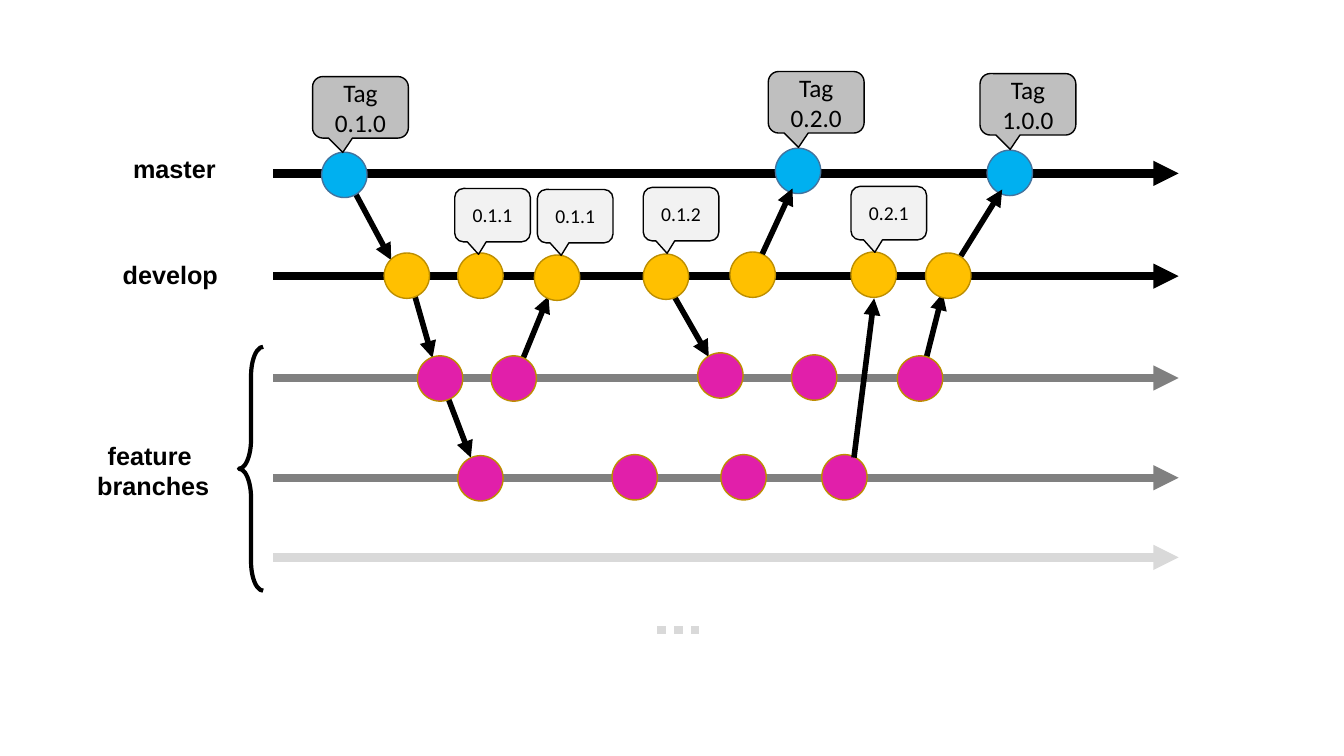
from pptx import Presentation
from pptx.dml.color import RGBColor
from pptx.enum import dml, shapes, text
from pptx.oxml import ns, xmlchemy
from pptx.util import Inches, Pt

BLACK, GREY, PALE = "000000", "808080", "D9D9D9"
LANE_START, LANE_END = 2.71, 11.69
COMMIT_SIZE = 0.45

LANES = [(1.72, BLACK), (2.74, BLACK), (3.75, GREY), (4.74, GREY), (5.53, PALE)]
COMMITS = [
    ("00B0F0", "43739E", [(3.19, 1.51), (7.69, 1.47), (9.79, 1.49)]),
    ("FFC000", "BD8E00", [(3.81, 2.51), (4.54, 2.51), (5.3, 2.53), (6.38, 2.52),
                          (7.24, 2.5), (8.44, 2.5), (9.18, 2.51)]),
    ("E11FAA", "BD8E00", [(4.14, 3.53), (4.87, 3.53), (6.92, 3.5), (7.85, 3.52),
                          (8.9, 3.53), (4.54, 4.52), (6.07, 4.51), (7.15, 4.51),
                          (8.15, 4.51)]),
]
ARROWS_BEHIND = [
    (6.67, 2.91, 7.03, 3.54), (5.17, 3.6, 5.44, 2.94), (9.18, 3.58, 9.35, 2.91),
    (4.38, 3.78, 4.67, 4.54), (4.05, 2.71, 4.29, 3.55), (3.44, 1.76, 3.88, 2.58),
]
ARROWS_IN_FRONT = [
    (8.47, 4.54, 8.67, 2.96), (9.53, 2.54, 9.94, 1.88), (7.56, 2.52, 7.86, 1.87),
]
LABELS = [
    ("feature \vbranches", 0.85, 4.32, 0.71),
    ("develop", 1.02, 2.52, 0.4),
    ("master", 1.06, 1.47, 0.4),
]
CALLOUTS = [
    (0.95, 0.61, "BFBFBF", 18, [("Tag\v0.1.0", 3.1, 0.76), ("Tag\v0.2.0", 7.62, 0.71),
                                ("Tag\v1.0.0", 9.72, 0.73)]),
    (0.75, 0.53, "F2F2F2", 14, [("0.1.1", 4.51, 1.87), ("0.1.1", 5.33, 1.88),
                                ("0.1.2", 6.38, 1.86), ("0.2.1", 8.44, 1.85)]),
]

deck = Presentation()
deck.slide_width, deck.slide_height = Inches(13.33), Inches(7.5)
page = deck.slides.add_slide(deck.slide_layouts[6])


def paint(target, color):
    target.solid()
    target.fore_color.rgb = RGBColor.from_string(color)


def write(box, words, size, font, bold=False):
    frame = box.text_frame
    frame.word_wrap = True
    frame.text = words
    para = frame.paragraphs[0]
    para.alignment = text.PP_ALIGN.CENTER
    for span in para.runs:
        span.font.size, span.font.name, span.font.bold = Pt(size), font, bold
        paint(span.font.fill, BLACK)


def add_shape(kind, left, top, width, height, fill, line, weight=1):
    shape = page.shapes.add_shape(kind, *map(Inches, (left, top, width, height)))
    shape.shadow.inherit = False
    if fill:
        paint(shape.fill, fill)
    else:
        shape.fill.background()
    paint(shape.line.fill, line)
    shape.line.width = Pt(weight)
    return shape


def add_line(ends, color=BLACK, weight=4, dash=None):
    line = page.shapes.add_connector(shapes.MSO_CONNECTOR.STRAIGHT, *map(Inches, ends))
    paint(line.line.fill, color)
    line.line.width = Pt(weight)
    if dash:
        line.line.dash_style = dash
    else:
        head = xmlchemy.OxmlElement("a:tailEnd")
        head.set("type", "triangle")
        line.line._get_or_add_ln().append(head)
    line._element.find(ns.qn("p:spPr")).append(xmlchemy.OxmlElement("a:effectLst"))


for ends in ARROWS_BEHIND:
    add_line(ends)
for y, color in LANES:
    add_line((LANE_START, y, LANE_END, y), color, 6)
for fill, line, places in COMMITS:
    for left, top in places:
        add_shape(shapes.MSO_SHAPE.OVAL, left, top, COMMIT_SIZE, COMMIT_SIZE, fill, line)
for ends in ARROWS_IN_FRONT:
    add_line(ends)
add_line((6.52, 6.25, 6.96, 6.25), PALE, 6, dml.MSO_LINE.ROUND_DOT)

brace = add_shape(shapes.MSO_SHAPE.LEFT_BRACE, 2.37, 3.44, 0.24, 2.42, None, BLACK, 3)
brace.adjustments[0], brace.adjustments[1] = 1.21, 0.5

for words, left, top, height in LABELS:
    label = page.shapes.add_textbox(*map(Inches, (left, top, 1.34, height)))
    write(label, words, 18, "Arial", bold=True)

for width, height, fill, size, tags in CALLOUTS:
    for words, left, top in tags:
        callout = add_shape(shapes.MSO_SHAPE.ROUNDED_RECTANGULAR_CALLOUT,
                            left, top, width, height, fill, BLACK)
        for index, value in enumerate((-0.185, 0.734, 0.167)):
            callout.adjustments[index] = value
        callout.text_frame.vertical_anchor = text.MSO_ANCHOR.MIDDLE
        write(callout, words, size, "Calibri")

deck.save("out.pptx")
